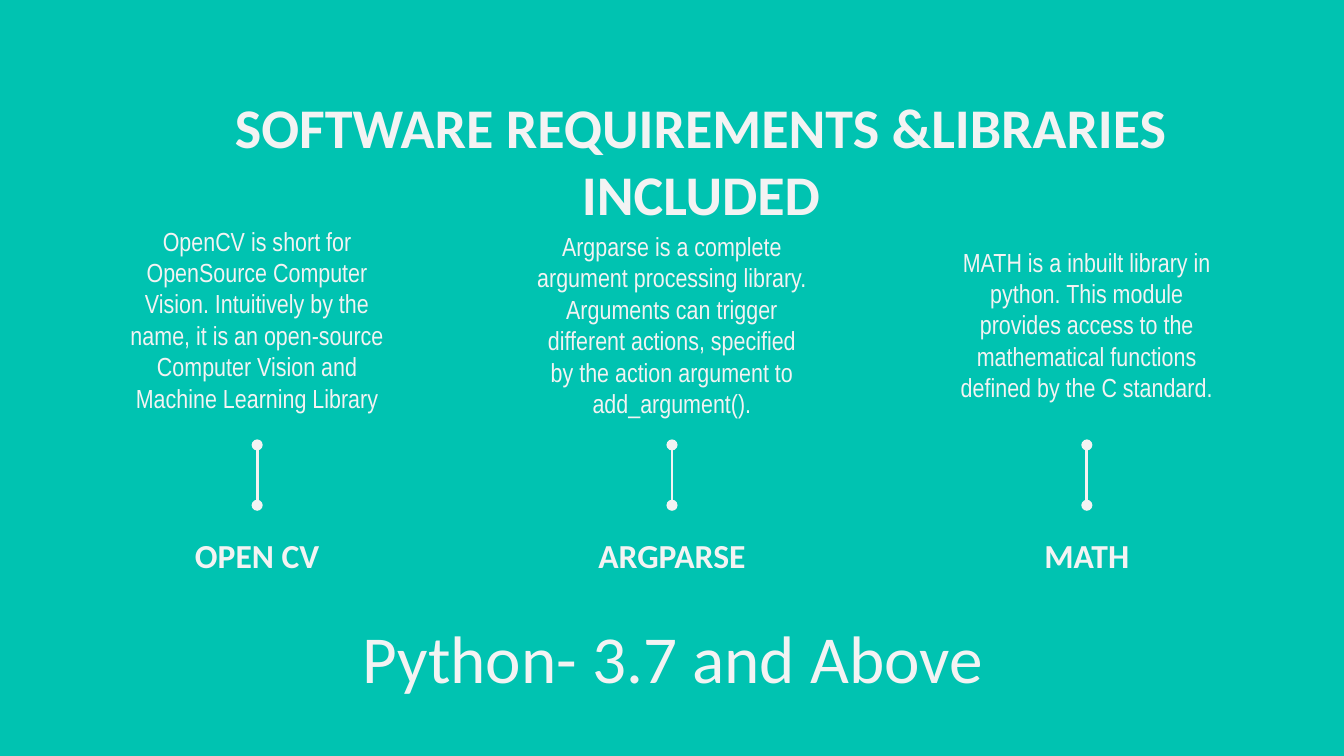
from dataclasses import dataclass

import lxml.etree
import pptx
import pptx.dml.color
import pptx.enum.shapes
import pptx.enum.text
import pptx.oxml.ns
import pptx.util
from pptx.util import Cm


@dataclass(frozen=True)
class Theme:
    background: pptx.dml.color.RGBColor = pptx.dml.color.RGBColor(0x00, 0xC3, 0xB1)
    foreground: pptx.dml.color.RGBColor = pptx.dml.color.RGBColor(0xF3, 0xF3, 0xF3)
    heading_font: str = "Calibri"
    body_font: str = "Arial Narrow"
    title_size: int = 30
    body_size: int = 14
    label_size: int = 18
    footer_size: int = 36


theme = Theme()
align = pptx.enum.text.PP_ALIGN
anchor = pptx.enum.text.MSO_ANCHOR


def add_text(slide, box, text, font_name, size, bold=False, inset=0.25,
             alignment=align.CENTER, vertical=anchor.MIDDLE):
    """Add a one-paragraph text box; box is left, top, width, height in cm."""
    shape = slide.shapes.add_textbox(*(Cm(length) for length in box))
    frame = shape.text_frame
    frame.word_wrap = True
    frame.vertical_anchor = vertical
    frame.margin_left = frame.margin_right = Cm(inset)
    frame.margin_top = frame.margin_bottom = Cm(inset)
    paragraph = frame.paragraphs[0]
    paragraph.text = text
    paragraph.alignment = alignment
    paragraph.font.name = font_name
    paragraph.font.size = pptx.util.Pt(size)
    paragraph.font.bold = bold
    paragraph.font.color.rgb = theme.foreground
    return shape


presentation = pptx.Presentation()
presentation.slide_width = Cm(25.4)
presentation.slide_height = Cm(14.29)
slide = presentation.slides.add_slide(presentation.slide_layouts[6])
slide.background.fill.solid()
slide.background.fill.fore_color.rgb = theme.background

# Title
add_text(slide, (2, 1.5, 22.5, 1.6), "SOFTWARE REQUIREMENTS &LIBRARIES INCLUDED",
         theme.heading_font, theme.title_size, bold=True, vertical=anchor.TOP)

# Library columns: label, description, top of description
libraries = [
    ("OPEN CV", "OpenCV is short for OpenSource Computer Vision. Intuitively by the "
     "name, it is an open-source Computer Vision and Machine Learning Library", 3.66),
    ("ARGPARSE", "Argparse is a complete argument processing library. Arguments can "
     "trigger different actions, specified by the action argument to add_argument().", 3.86),
    ("MATH", "MATH is a inbuilt library in python. This module provides access to the "
     "mathematical functions defined by the C standard.", 3.86),
]
first_center, column_pitch = 4.86, 7.84
description_width, description_bottom = 5.72, 8.41
label_width, label_top, label_height = 4.26, 9.55, 1.9

for index, (name, description, top) in enumerate(libraries):
    center = first_center + index * column_pitch
    description_box = add_text(
        slide,
        (center - description_width / 2, top, description_width, description_bottom - top),
        description, theme.body_font, theme.body_size)
    label_box = add_text(
        slide, (center - label_width / 2, label_top, label_width, label_height),
        name, theme.heading_font, theme.label_size, bold=True, inset=0)

    # Link with round ends from description to label
    connector = slide.shapes.add_connector(
        pptx.enum.shapes.MSO_CONNECTOR.STRAIGHT,
        Cm(center), Cm(description_bottom), Cm(center), Cm(label_top))
    connector.begin_connect(description_box, 2)
    connector.end_connect(label_box, 0)
    connector.line.color.rgb = theme.foreground
    connector.line.width = pptx.util.Pt(1.5)
    line = connector.line._get_or_add_ln()
    for end in ("a:headEnd", "a:tailEnd"):
        lxml.etree.SubElement(line, pptx.oxml.ns.qn(end), type="oval")
    lxml.etree.SubElement(connector._element.spPr, pptx.oxml.ns.qn("a:effectLst"))

# Python version
add_text(slide, (6.65, 11.46, 12.7, 1.8), "Python- 3.7 and Above",
         theme.heading_font, theme.footer_size, alignment=align.LEFT, vertical=anchor.TOP,
         inset=0.2)

presentation.save("out.pptx")
